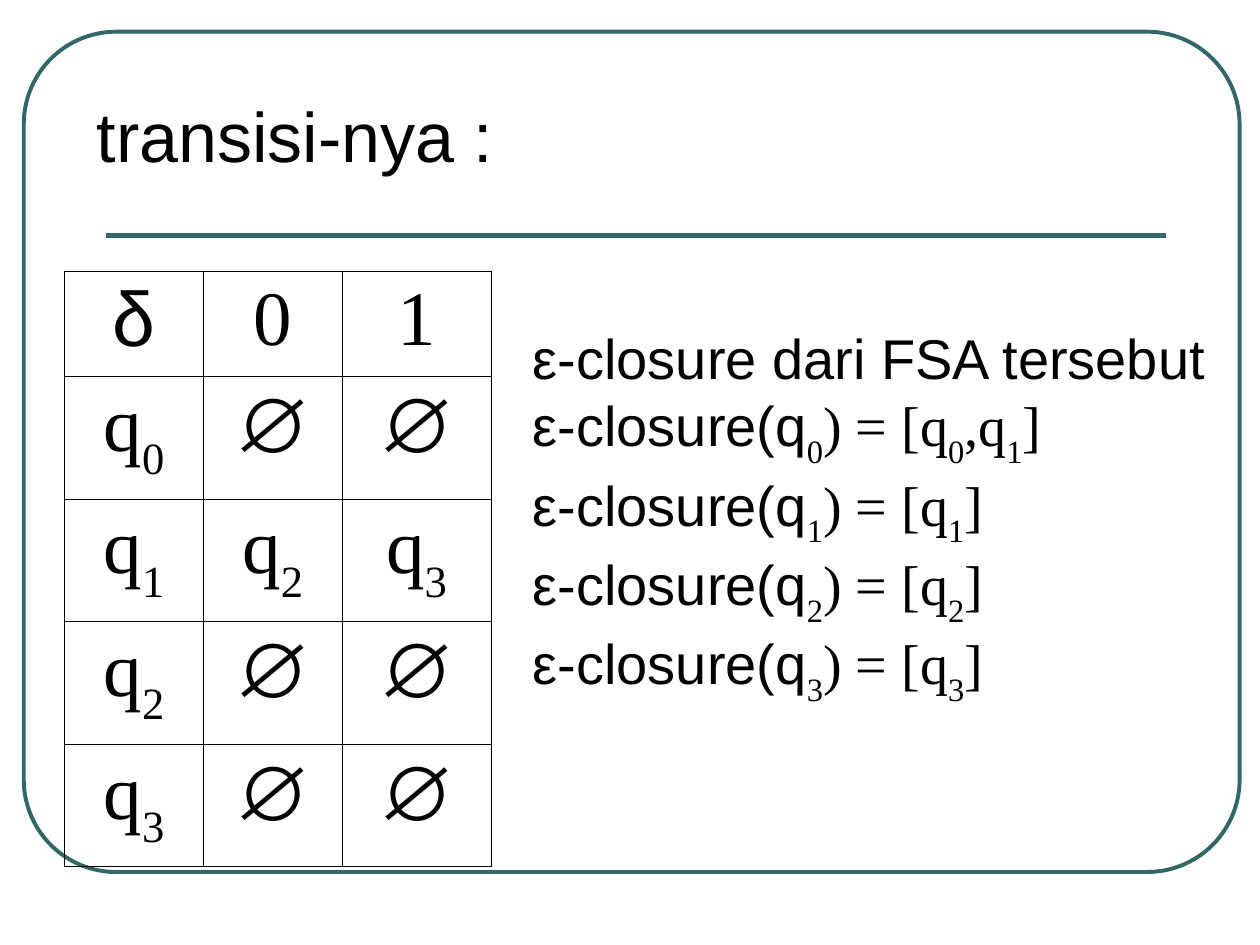
from lxml.etree import SubElement
from pptx import Presentation
from pptx.dml.color import RGBColor
from pptx.enum.shapes import MSO_CONNECTOR, MSO_SHAPE
from pptx.enum.text import MSO_ANCHOR, PP_ALIGN
from pptx.oxml import parse_xml
from pptx.oxml.ns import nsdecls, qn
from pptx.util import Cm, Pt

SANS = "Arial"
SERIF = "Times New Roman"
BLACK = "000000"
TEAL = "336666"


def color(hex_value):
    return RGBColor.from_string(hex_value)


def add_text(paragraph, text, size=32, font=SANS, subscript=False):
    run = paragraph.add_run()
    run.text = text
    run.font.size = Pt(size)
    run.font.name = font
    run.font.color.rgb = color(BLACK)
    if subscript:
        run.font._element.set("baseline", "-30000")


presentation = Presentation()
presentation.slide_width = Cm(25.4)
presentation.slide_height = Cm(19.05)
slide = presentation.slides.add_slide(presentation.slide_layouts[5])

frame = slide.shapes.add_shape(MSO_SHAPE.ROUNDED_RECTANGLE, Cm(0.48), Cm(0.64), Cm(24.51), Cm(16.94))
frame.adjustments[0] = 0.11
frame.shadow.inherit = False
frame.fill.background()
frame.line.color.rgb = color(TEAL)
frame.line.width = Pt(2.25)

rule = slide.shapes.add_connector(MSO_CONNECTOR.STRAIGHT, Cm(2.13), Cm(4.75), Cm(23.5), Cm(4.75))
rule.line.color.rgb = color(TEAL)
rule.line.width = Pt(3)
SubElement(rule._element.spPr, qn("a:effectLst"))

title = slide.shapes.title
title.left, title.top, title.width, title.height = Cm(1.7), Cm(1.73), Cm(9.2), Cm(1.96)
title.text_frame.vertical_anchor = MSO_ANCHOR.MIDDLE
title_paragraph = title.text_frame.paragraphs[0]
title_paragraph.alignment = PP_ALIGN.LEFT
add_text(title_paragraph, "transisi-nya :", size=40)

transitions = [
    ["δ", "0", "1"],
    ["q0", "∅", "∅"],
    ["q1", "q2", "q3"],
    ["q2", "∅", "∅"],
    ["q3", "∅", "∅"],
]
table = slide.shapes.add_table(5, 3, Cm(1.3), Cm(5.46), Cm(8.6), Cm(12.01)).table
for column, width in zip(table.columns, (2.8, 2.8, 3)):
    column.width = Cm(width)
for row, height in zip(table.rows, (2.13, 2.47, 2.47, 2.47, 2.47)):
    row.height = Cm(height)

for row, symbols in zip(table.rows, transitions):
    for cell, symbol in zip(row.cells, symbols):
        paragraph = cell.text_frame.paragraphs[0]
        paragraph.alignment = PP_ALIGN.CENTER
        add_text(paragraph, symbol[0], size=44, font=SANS if symbol in "δ∅" else SERIF)
        if symbol[1:]:
            add_text(paragraph, symbol[1:], size=44, font=SERIF, subscript=True)
        properties = cell._tc.get_or_add_tcPr()
        for side in ("lnL", "lnR", "lnT", "lnB"):
            properties.append(parse_xml(
                f'<a:{side} {nsdecls("a")} w="{Pt(0.45)}"><a:solidFill>'
                f'<a:srgbClr val="{BLACK}"/></a:solidFill></a:{side}>'
            ))
        cell.fill.background()

closure_box = slide.shapes.add_textbox(Cm(10.49), Cm(6.4), Cm(14.2), Cm(8))
closure_frame = closure_box.text_frame
closure_frame.word_wrap = True
closure_frame.vertical_anchor = MSO_ANCHOR.MIDDLE
add_text(closure_frame.paragraphs[0], "ε-closure dari FSA tersebut")
for state, members in (("0", "01"), ("1", "1"), ("2", "2"), ("3", "3")):
    paragraph = closure_frame.add_paragraph()
    add_text(paragraph, "ε-closure(q")
    add_text(paragraph, state, font=SERIF, subscript=True)
    for index, member in enumerate(members):
        add_text(paragraph, ",q" if index else ") = [q", font=SERIF)
        add_text(paragraph, member, font=SERIF, subscript=True)
    add_text(paragraph, "]", font=SERIF)

presentation.save("out.pptx")
